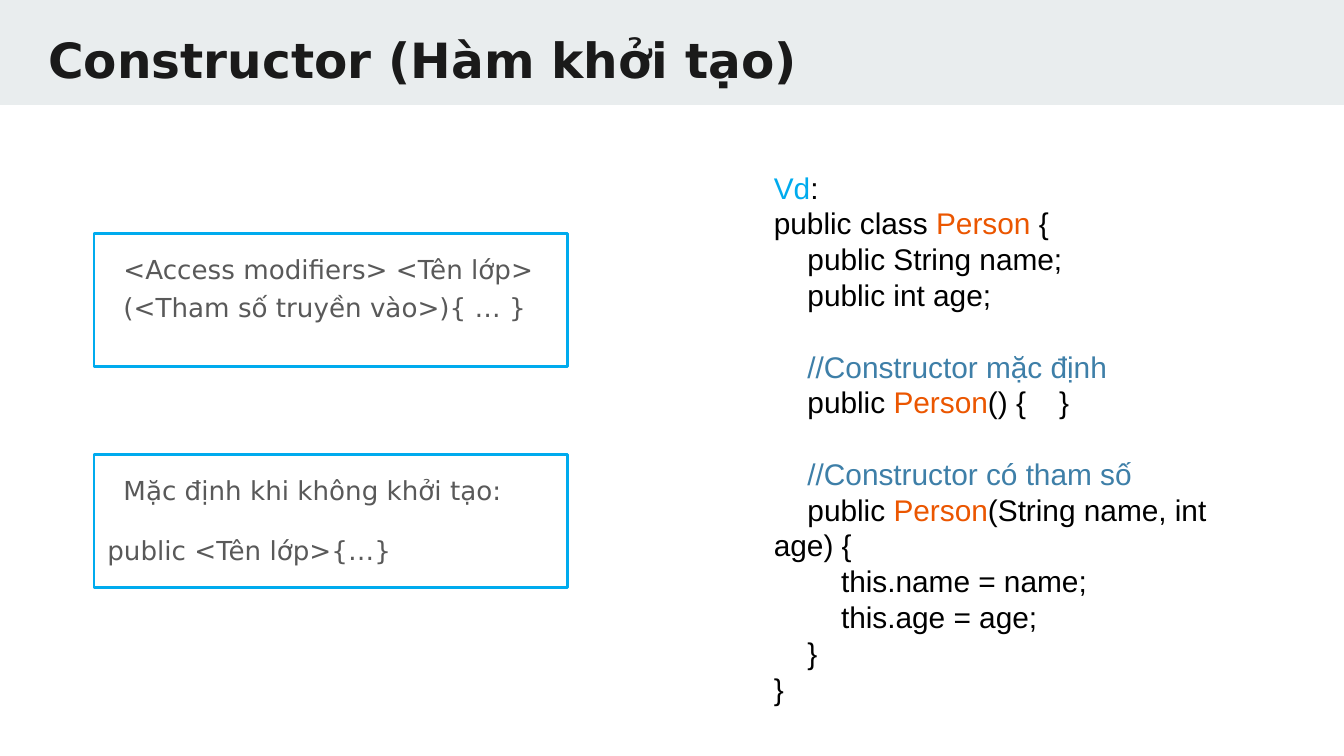
from pptx import Presentation
from pptx import util as u
from pptx.dml.color import RGBColor
from pptx.enum import shapes, text

SLIDE_WIDTH = 10
SLIDE_HEIGHT = SLIDE_WIDTH * 9 / 16
COLORS = {"band": "E9EDEE", "title": "1A1A1A", "accent": "00ABEE", "body": "595959",
          "code": "000000", "class": "EB5600", "comment": "3E7FA8"}
HEADING_FONT = "DejaVu Sans"
CODE_FONT = "Arial"
CODE_SIZE = 16
CODE_INDENT = 0.25
BLANK_LINE = 19.1
WIDE_GAP = " "  # a run of its own, spaced out to the width of four
WIDE_GAP_SPACING = 13.3

# Each line: indent level, blank line before it, runs of (text, colour)
CODE = [
    (0, False, [("Vd", "accent"), (":", "code")]),
    (0, False, [("public class ", "code"), ("Person", "class"), (" {", "code")]),
    (1, False, [("public String name;", "code")]),
    (1, False, [("public int age;", "code")]),
    (1, True, [("//Constructor mặc định", "comment")]),
    (1, False, [("public ", "code"), ("Person", "class"), ("() {", "code"),
                (WIDE_GAP, "code"), ("}", "code")]),
    (1, True, [("//Constructor có tham số", "comment")]),
    (1, False, [("public ", "code"), ("Person", "class"),
                ("(String name, int age) {", "code")]),
    (2, False, [("this.name = name;", "code")]),
    (2, False, [("this.age = age;", "code")]),
    (1, False, [("}", "code")]),
    (0, False, [("}", "code")]),
]

# Each box: top, paragraphs of (left margin, text)
SYNTAX_BOXES = [
    (1.74, [(0.12, "<Access modifiers> <Tên lớp> (<Tham số truyền vào>){ … }")]),
    (3.38, [(0.12, "Mặc định khi không khởi tạo:"), (0, "public <Tên lớp>{…}")]),
]


def color(name):
    return RGBColor.from_string(COLORS[name])


class SlideBuilder:
    def __init__(self, presentation):
        self.slide = presentation.slides.add_slide(presentation.slide_layouts[5])

    def style_run(self, run, font, size, color_name, bold=False):
        run.font.name = font
        run.font.size = u.Pt(size)
        run.font.bold = bold
        run.font.color.rgb = color(color_name)

    def prepare_frame(self, frame, inset_y=0.1):
        frame.word_wrap = True
        frame.auto_size = text.MSO_AUTO_SIZE.NONE
        frame.vertical_anchor = text.MSO_ANCHOR.TOP
        frame.margin_left = frame.margin_right = u.Inches(0.1)
        frame.margin_top = frame.margin_bottom = u.Inches(inset_y)

    def paragraphs(self, frame, items):
        """Yield a paragraph of the frame with each item."""
        for index, item in enumerate(items):
            yield frame.add_paragraph() if index else frame.paragraphs[0], item

    def indent(self, paragraph, margin=0, first_line=0):
        properties = paragraph._p.get_or_add_pPr()
        properties.set("marL", str(u.Inches(margin)))
        properties.set("indent", str(u.Inches(first_line)))

    def rectangle(self, left, top, width, height, fill=None, line=None):
        shape = self.slide.shapes.add_shape(
            shapes.MSO_SHAPE.RECTANGLE, *map(u.Inches, (left, top, width, height)))
        shape.shadow.inherit = False
        if fill:
            shape.fill.solid()
            shape.fill.fore_color.rgb = color(fill)
        else:
            shape.fill.background()
        if line:
            shape.line.color.rgb = color(line)
            shape.line.width = u.Pt(1.5)
        else:
            shape.line.fill.background()
        return shape

    def title(self, wording):
        self.rectangle(0, 0, SLIDE_WIDTH, 0.78, fill="band")
        title = self.slide.shapes.title
        self.slide.shapes._spTree.append(title._element)  # in front of the band
        title.left, title.top, title.width, title.height = map(
            u.Inches, (0.26, 0.12, 9.52, 0.59))
        title.text_frame.text = wording
        self.prepare_frame(title.text_frame)
        paragraph = title.text_frame.paragraphs[0]
        paragraph.alignment = text.PP_ALIGN.LEFT
        self.style_run(paragraph.runs[0], HEADING_FONT, 26, "title", bold=True)

    def code(self, left, top, width, height, lines):
        box = self.slide.shapes.add_textbox(*map(u.Inches, (left, top, width, height)))
        self.prepare_frame(box.text_frame, inset_y=0.05)
        for paragraph, (level, blank_before, runs) in self.paragraphs(box.text_frame, lines):
            self.indent(paragraph, first_line=CODE_INDENT * level)
            if blank_before:
                paragraph.space_before = u.Pt(BLANK_LINE)
            for wording, color_name in runs:
                run = paragraph.add_run()
                run.text = wording
                self.style_run(run, CODE_FONT, CODE_SIZE, color_name)
                if wording == WIDE_GAP:
                    run.font._element.set("spc", str(round(WIDE_GAP_SPACING * 100)))

    def syntax_box(self, top, entries):
        frame = self.rectangle(0.7, top, 3.52, 0.99, line="accent").text_frame
        self.prepare_frame(frame)
        for paragraph, (margin, wording) in self.paragraphs(frame, entries):
            paragraph.text = wording
            paragraph.alignment = text.PP_ALIGN.LEFT
            paragraph.line_spacing = 1.2
            paragraph.space_before = paragraph.space_after = u.Pt(6)
            self.indent(paragraph, margin)
            self.style_run(paragraph.runs[0], HEADING_FONT, 14, "body")


def main():
    presentation = Presentation()
    presentation.slide_width = u.Inches(SLIDE_WIDTH)
    presentation.slide_height = u.Inches(SLIDE_HEIGHT)
    builder = SlideBuilder(presentation)
    builder.title("Constructor (Hàm khởi tạo)")
    builder.code(5.66, 1.21, 3.83, 3.21, CODE)
    for top, entries in SYNTAX_BOXES:
        builder.syntax_box(top, entries)
    presentation.save("out.pptx")


if __name__ == "__main__":
    main()
